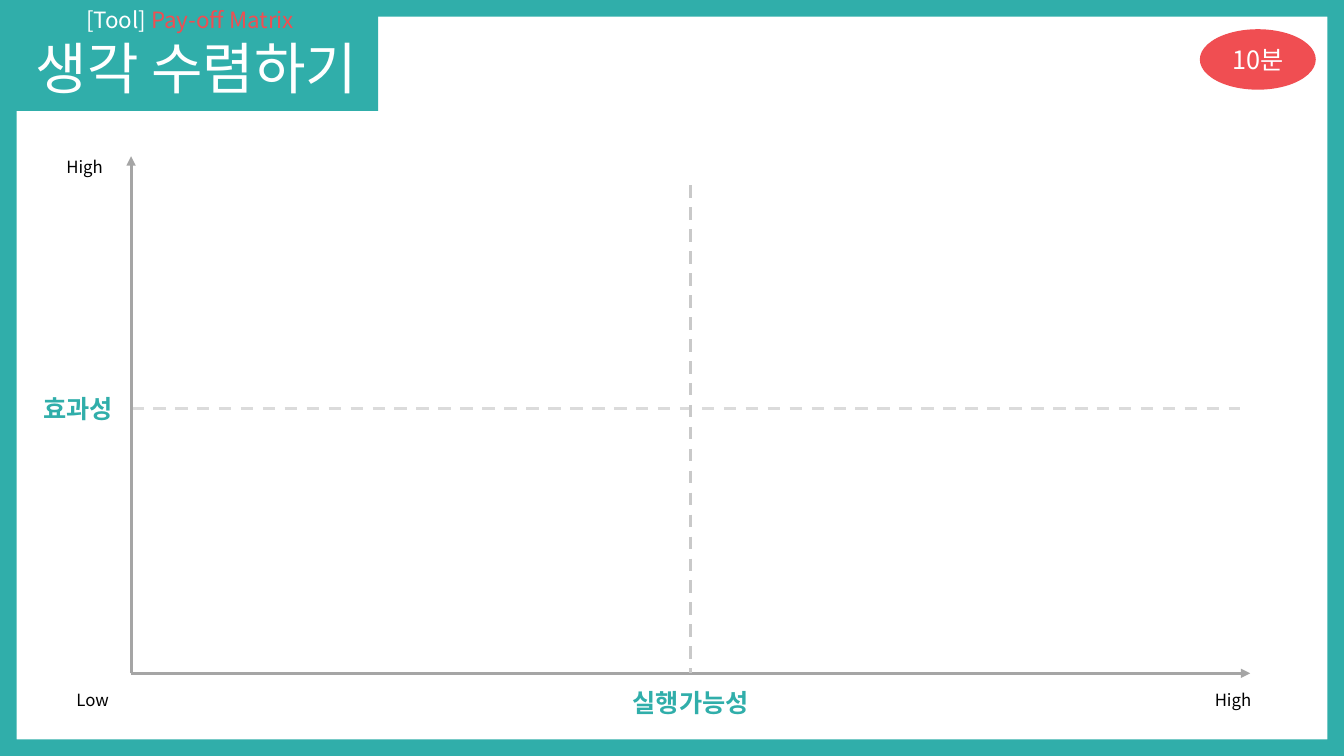
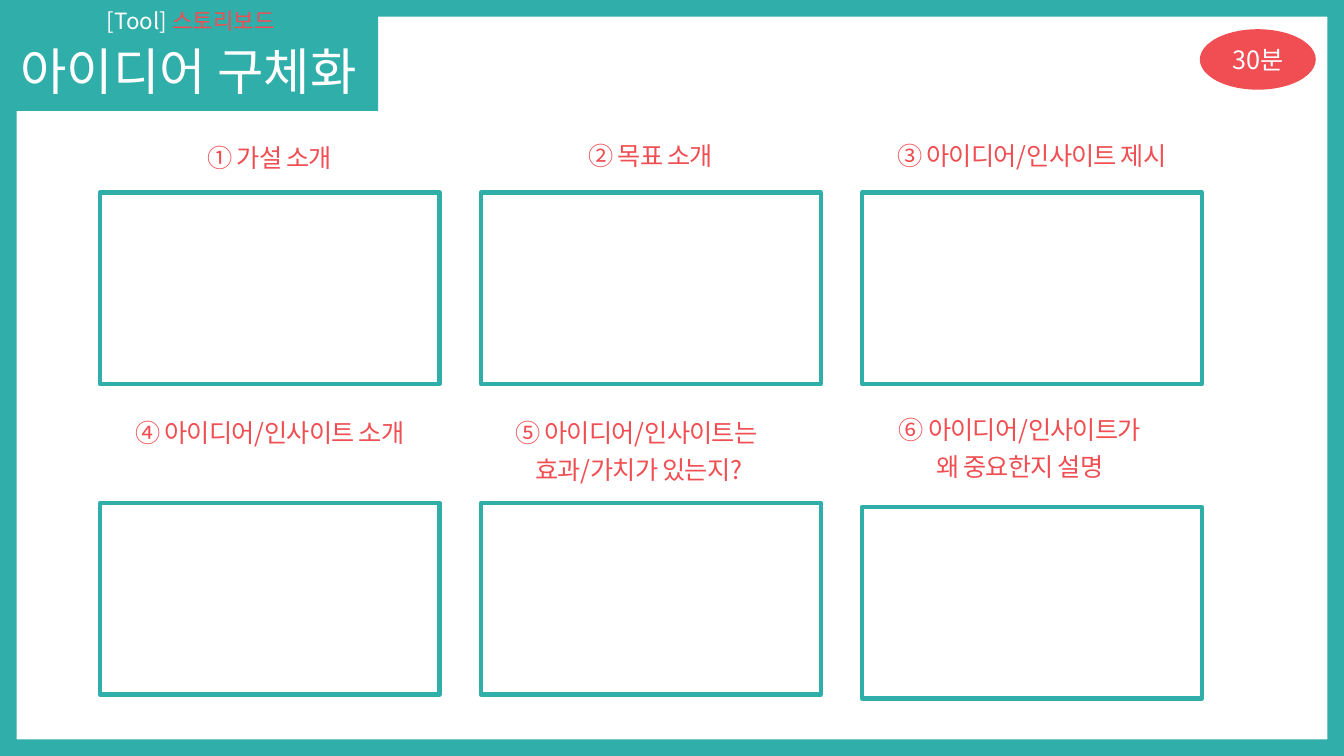
from lxml.etree import SubElement
from pptx import Presentation
from pptx.dml.color import RGBColor
from pptx.enum.dml import MSO_LINE as Dash
from pptx.enum.shapes import MSO_CONNECTOR as Link, MSO_SHAPE as Kind
from pptx.enum.text import MSO_ANCHOR as Anchor, MSO_AUTO_SIZE as Fit, PP_ALIGN as Align
from pptx.oxml.ns import qn
from pptx.util import Inches, Pt

TEAL = RGBColor(0x30, 0xAE, 0xAA)
RED = RGBColor(0xF0, 0x4E, 0x52)
WHITE = RGBColor(0xFF, 0xFF, 0xFF)
BLACK = RGBColor(0, 0, 0)
AXIS = RGBColor(0xA5, 0xA5, 0xA5)
PALE = RGBColor(0xDB, 0xDB, 0xDB)
MID = RGBColor(0xC9, 0xC9, 0xC9)
FONT = "Noto Sans CJK KR"
WIDE, HIGH = 13.33, 7.5


def inches(box):
    """Turn a box in inches into lengths."""
    return [Inches(n) for n in box]


def style(shape, size, color, align=Align.CENTER, bold=False, space=None):
    """Format all the text in a shape."""
    for para in shape.text_frame.paragraphs:
        para.alignment = align
        for run in para.runs:
            font = run.font
            font.name, font.size, font.bold = FONT, Pt(size), bold
            font.color.rgb = color
    for props in shape.element.iter(qn("a:rPr")):
        SubElement(props, qn("a:ea")).set("typeface", FONT)
        if space:
            props.set("spc", str(round(space * 100)))


def block(slide, kind, box, fill=None, line=None):
    """Add a flat shape with an optional fill and outline."""
    shape = slide.shapes.add_shape(kind, *inches(box))
    shape.shadow.inherit = False
    if fill is None:
        shape.fill.background()
    else:
        shape.fill.solid()
        shape.fill.fore_color.rgb = fill
    if line is None:
        shape.line.fill.background()
    else:
        shape.line.color.rgb = line
        shape.line.width = Pt(3)
    shape.text_frame.vertical_anchor = Anchor.MIDDLE
    return shape


def label(slide, text, box, size, color, align=Align.LEFT, bold=False, wrap=True):
    """Add a text box centred on its height."""
    shape = slide.shapes.add_textbox(*inches(box))
    frame = shape.text_frame
    frame.word_wrap, frame.auto_size = wrap, Fit.SHAPE_TO_FIT_TEXT
    frame.vertical_anchor = Anchor.MIDDLE
    frame.text = text
    style(shape, size, color, align, bold)


def rule(slide, start, end, color, dash=False, arrow=False):
    """Draw a straight line, dashed or with an arrowhead if asked."""
    line = slide.shapes.add_connector(Link.STRAIGHT, *inches(start + end))
    line.line.color.rgb = color
    line.line.width = Pt(2.25)
    if dash:
        line.line.dash_style = Dash.DASH
    props = line.element.spPr
    if arrow:
        SubElement(props.find(qn("a:ln")), qn("a:tailEnd")).set("type", "triangle")
    SubElement(props, qn("a:effectLst"))


def page(deck, name, size, spot, tool, place, time):
    """Start a slide with its frame, title tab, tool name and time."""
    slide = deck.slides.add_slide(deck.slide_layouts[5])
    title = slide.shapes.title
    edge = block(slide, Kind.FRAME, (0, 0, WIDE, HIGH), TEAL)
    edge.adjustments[0] = 0.022
    tab = block(slide, Kind.RECTANGLE, (0, 0, 3.75, 1.1), TEAL)
    for back in (edge, tab):
        title.element.addprevious(back.element)

    title.left, title.top, title.width, title.height = inches(spot)
    frame = title.text_frame
    frame.text = name
    frame.word_wrap, frame.auto_size = True, Fit.NONE
    frame.vertical_anchor = Anchor.BOTTOM
    frame.paragraphs[0].line_spacing = 0.9
    style(title, size, WHITE)

    sign = block(slide, Kind.ROUNDED_RECTANGLE, place)
    para = sign.text_frame.paragraphs[0]
    for text in ("[Tool] ", tool):
        para.add_run().text = text
    style(sign, 16, WHITE)
    para.runs[1].font.color.rgb = RED

    badge = block(slide, Kind.OVAL, (11.9, 0.29, 1.15, 0.6), RED)
    badge.text_frame.text = time
    style(badge, 18, WHITE)
    return slide


def matrix(slide, box):
    """Draw the two axes, their middle lines and their labels."""
    x, y, w, h = box
    right, low, half = x + w, y + h, x + w / 2
    rule(slide, (x, y + 2.5), (right - 0.1, y + 2.5), PALE, dash=True)
    rule(slide, (x, low), (x, y), AXIS, arrow=True)
    rule(slide, (x, low), (right, low), AXIS, arrow=True)
    label(slide, "효과성", (x - 0.97, y + 2.3, 0.96, 0.4), 18, TEAL, bold=True, wrap=False)
    label(slide, "실행가능성", (half - 0.73, low + 0.09, 1.46, 0.4), 18, TEAL,
          Align.CENTER, True, False)
    ends = (("High", x - 0.74, y - 0.05), ("High", right - 0.45, low + 0.11),
            ("Low", x - 0.64, low + 0.11))
    for text, left, top in ends:
        label(slide, text, (left, top, 0.8, 0.31), 12, BLACK)
    rule(slide, (half, y + 0.29), (half, low), MID, dash=True)


def board(slide, box, heads):
    """Lay out captioned panels in three columns."""
    x, y, w, h = box
    for i, (text, mid, rise, drop) in enumerate(heads):
        row, col = divmod(i, 3)
        left, top = x + col * (w + 0.41), y + row * (h + 1.18) + drop
        cap = slide.shapes.add_textbox(
            *inches((left + w / 2 + mid - 2.15, top - rise, 4.3, 0.3)))
        frame = cap.text_frame
        frame.word_wrap, frame.auto_size = True, Fit.SHAPE_TO_FIT_TEXT
        frame.margin_left = frame.margin_right = 0
        frame.margin_top = frame.margin_bottom = 0
        frame.text = text
        for para in frame.paragraphs:
            para.space_before = Pt(5)
        style(cap, 18, RED, space=-0.6)
        block(slide, Kind.RECTANGLE, (left, top, w, h), line=TEAL)


def main():
    """Build and save the deck."""
    deck = Presentation()
    deck.slide_width, deck.slide_height = inches((WIDE, HIGH))
    slide = page(deck, "생각 수렴하기", 40, (0.16, 0.2, 3.58, 0.86),
                 "Pay-off Matrix", (0.19, 0.01, 3.39, 0.36), "10분")
    matrix(slide, (1.3, 1.55, 11.1, 5.13))
    slide = page(deck, "아이디어 구체화", 36, (0, 0.2, 3.74, 0.86),
                 "스토리보드", (0.26, 0.03, 3.27, 0.35), "30분")
    heads = (("① 가설 소개", 0, 0.5, 0),
             ("② 목표 소개", 0, 0.52, 0),
             ("③ 아이디어/인사이트 제시", 0, 0.52, 0),
             ("④ 아이디어/인사이트 소개", 0, 0.85, 0),
             ("⑤ 아이디어/인사이트는 \n효과/가치가 있는지?", -0.12, 0.85, 0),
             ("⑥ 아이디어/인사이트가\n왜 중요한지 설명", -0.12, 0.92, 0.04))
    board(slide, (0.99, 1.91, 3.37, 1.9), heads)
    deck.save("out.pptx")


if __name__ == "__main__":
    main()
